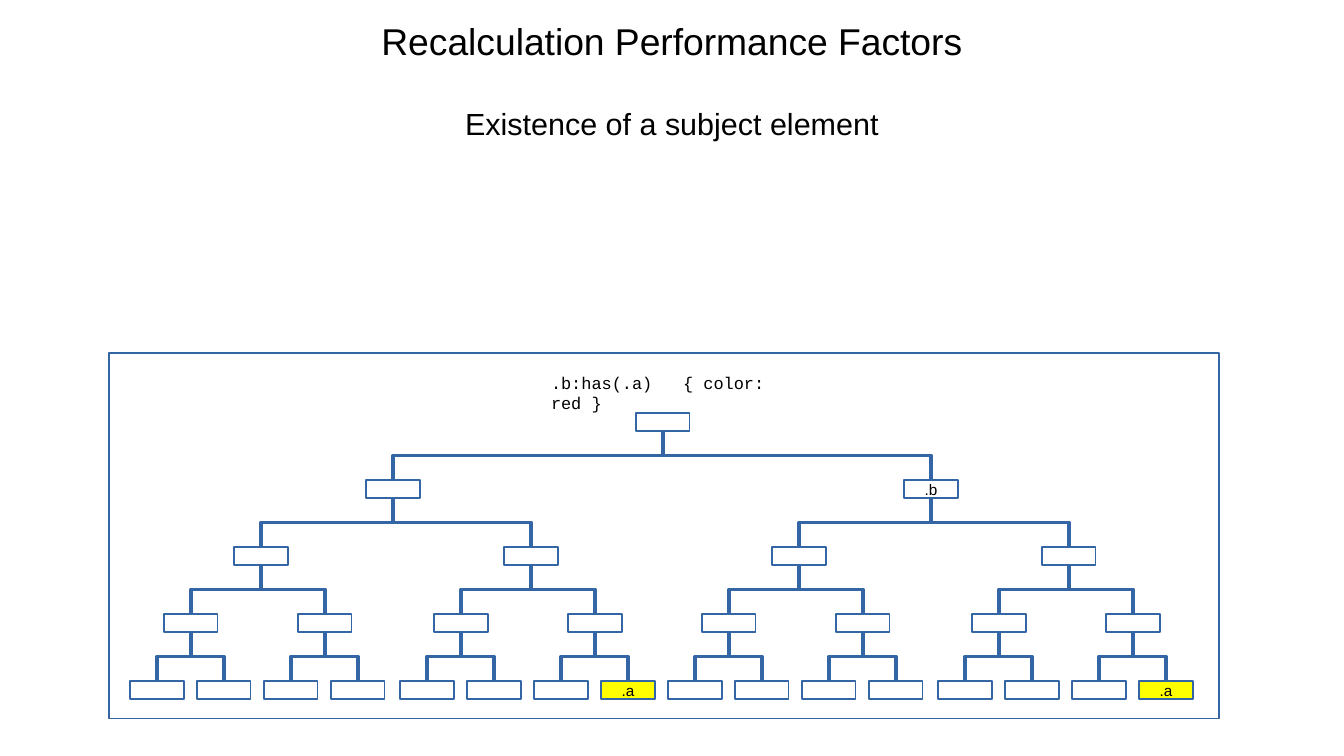
import lxml.etree
import pptx
import pptx.dml.color
import pptx.enum.shapes
import pptx.enum.text
import pptx.oxml.ns
import pptx.util

BLACK = pptx.dml.color.RGBColor(0x00, 0x00, 0x00)
WHITE = pptx.dml.color.RGBColor(0xFF, 0xFF, 0xFF)
YELLOW = pptx.dml.color.RGBColor(0xFF, 0xFF, 0x00)
BLUE = pptx.dml.color.RGBColor(0x34, 0x65, 0xA4)

CENTER = pptx.enum.text.PP_ALIGN.CENTER
LEFT = pptx.enum.text.PP_ALIGN.LEFT
MIDDLE = pptx.enum.text.MSO_ANCHOR.MIDDLE

EMU_PER_PX = 914400 / 122
SLIDE_WIDTH, SLIDE_HEIGHT = 1344, 756

NODE_WIDTH, NODE_HEIGHT = 54, 18
ROOT_X, ROOT_TOP, LEVEL_STEP = 663, 413, 67
# Horizontal offsets of the left and right child, one pair per level.
CHILD_OFFSETS = [(-270, 268), (-132, 138), (-70, 64), (-34, 33)]
# Labelled nodes, keyed by their turns from the root.
LABELS = {"R": (".b", WHITE), "LRRR": (".a", YELLOW), "RRRR": (".a", YELLOW)}


def px(length):
    return pptx.util.Emu(round(length * EMU_PER_PX))


class TreeSlide:
    def __init__(self, deck):
        self.shapes = deck.slides.add_slide(deck.slide_layouts[6]).shapes

    def add_span(self, para, text, size, font="Arial", align=CENTER):
        para.alignment = align
        span = para.add_run()
        span.text = text
        span.font.name = font
        span.font.size = pptx.util.Pt(size)
        span.font.color.rgb = BLACK

    def rectangle(self, left, top, width, height, fill=None, line=BLUE):
        box = self.shapes.add_shape(
            pptx.enum.shapes.MSO_SHAPE.RECTANGLE,
            px(left), px(top), px(width), px(height))
        box.shadow.inherit = False
        if fill is None:
            box.fill.background()
        else:
            box.fill.solid()
            box.fill.fore_color.rgb = fill
        if line is None:
            box.line.fill.background()
        else:
            box.line.color.rgb = line
            box.line.width = pptx.util.Pt(0)
        box.text_frame.vertical_anchor = MIDDLE
        return box

    def heading(self, title, subtitle):
        box = self.shapes.add_textbox(0, px(12), px(SLIDE_WIDTH), px(129))
        frame = box.text_frame
        frame.word_wrap = True
        self.add_span(frame.paragraphs[0], title, 22)
        para = frame.add_paragraph()
        para.space_before = pptx.util.Pt(25)
        self.add_span(para, subtitle, 18)

    def rule_caption(self, selector, declaration):
        """Show a CSS rule whose block starts at column 13 of the code font."""
        box = self.rectangle(539, 378, 292, 29, WHITE, None)
        box.text_frame.word_wrap = True
        para = box.text_frame.paragraphs[0]
        self.add_span(para, selector + "\t" + declaration, 10, "Courier New", LEFT)
        qn = pptx.oxml.ns.qn
        stops = lxml.etree.SubElement(para._p.get_or_add_pPr(), qn("a:tabLst"))
        lxml.etree.SubElement(stops, qn("a:tab"),
                              pos=str(int(pptx.util.Pt(13 * 6))), algn="l")

    def node(self, x, top, label, fill):
        box = self.rectangle(x - NODE_WIDTH / 2, top, NODE_WIDTH, NODE_HEIGHT, fill)
        if label:
            box.text_frame.word_wrap = False
            self.add_span(box.text_frame.paragraphs[0], label, 9)

    def branch(self, child_x, child_top, parent_x, parent_bottom):
        """Draw an elbow that leaves vertically, as a turned horizontal elbow."""
        side = 1 if child_x > parent_x else -1
        middle_x = (child_x + parent_x) / 2
        middle_y = (child_top + parent_bottom) / 2
        half_drop = side * (child_top - parent_bottom) / 2
        half_span = abs(child_x - parent_x) / 2
        line = self.shapes.add_connector(
            pptx.enum.shapes.MSO_CONNECTOR.ELBOW,
            px(middle_x - half_drop), px(middle_y + half_span),
            px(middle_x + half_drop), px(middle_y - half_span))
        line.line.color.rgb = BLUE
        line.line.width = pptx.util.Pt(0)
        properties = line._element.spPr
        properties.xfrm.set("rot", str((180 + side * 90) * 60000))
        lxml.etree.SubElement(properties, pptx.oxml.ns.qn("a:effectLst"))

    def tree(self, x, turns=""):
        """Draw the node reached by these turns and everything below it."""
        level = len(turns)
        top = ROOT_TOP + level * LEVEL_STEP
        self.node(x, top, *LABELS.get(turns, ("", WHITE)))
        if level < len(CHILD_OFFSETS):
            for turn, offset in zip("LR", CHILD_OFFSETS[level]):
                self.branch(x + offset, top + LEVEL_STEP, x, top + NODE_HEIGHT)
                self.tree(x + offset, turns + turn)


def main():
    deck = pptx.Presentation()
    deck.slide_width = px(SLIDE_WIDTH)
    deck.slide_height = px(SLIDE_HEIGHT)
    page = TreeSlide(deck)
    page.tree(ROOT_X)
    page.heading("Recalculation Performance Factors",
                 "Existence of a subject element")
    page.rule_caption(".b:has(.a)", "{ color: red }")
    page.rectangle(109, 353, 1110, 366)
    deck.save("out.pptx")


if __name__ == "__main__":
    main()
